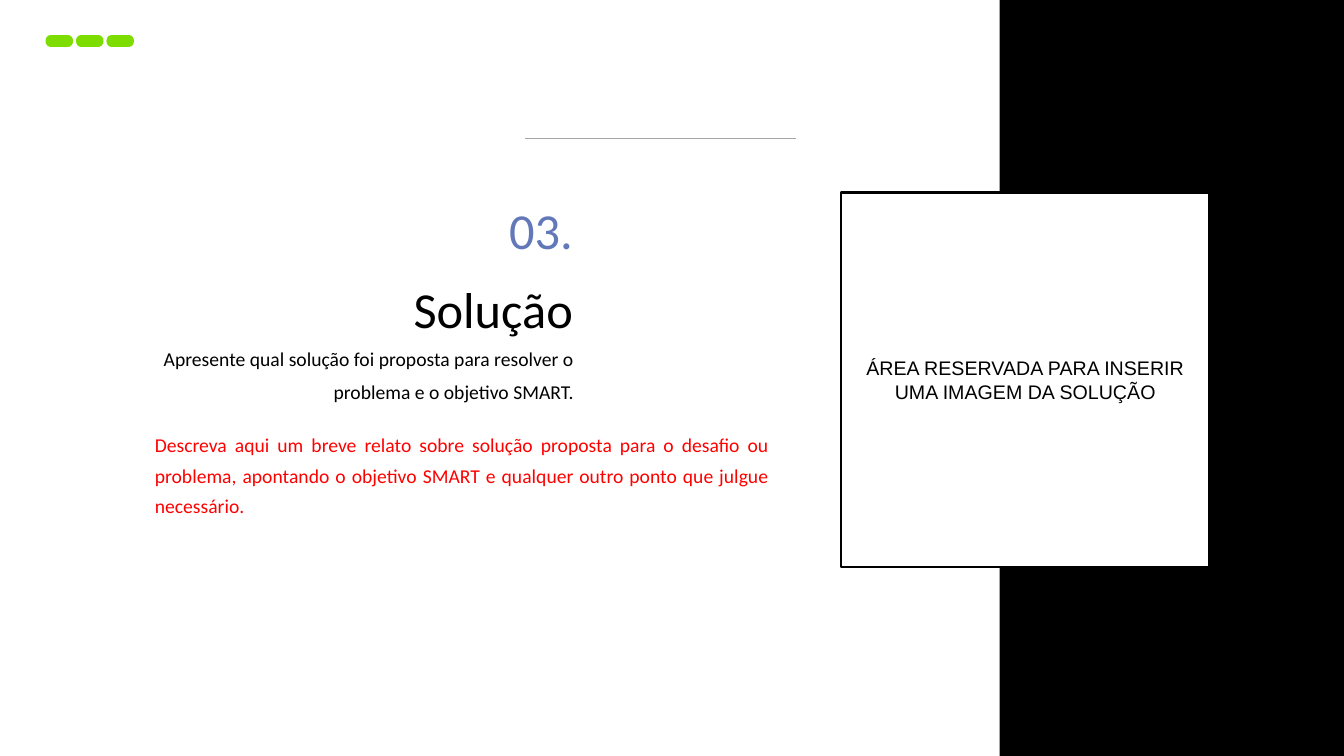
from lxml.etree import SubElement
from pptx import Presentation
from pptx.dml.color import RGBColor
from pptx.enum.shapes import MSO_CONNECTOR, MSO_SHAPE as SHAPE
from pptx.enum.text import MSO_ANCHOR, PP_ALIGN as ALIGN
from pptx.oxml.ns import qn
from pptx.util import Pt

PX = 9525  # EMU per px, 96 px to the inch
BLACK = RGBColor(0x00, 0x00, 0x00)
WHITE = RGBColor(0xFF, 0xFF, 0xFF)
GREEN = RGBColor(0x7D, 0xDD, 0x00)
BLUE = RGBColor(0x63, 0x78, 0xB9)
RED = RGBColor(0xFF, 0x00, 0x00)
GREY = RGBColor(0xA6, 0xA6, 0xA6)


def px(*lengths):
    return [n * PX for n in lengths]


def add_block(s, kind, box, fill, line=None, weight=1):
    sp = s.shapes.add_shape(kind, *px(*box))
    sp.shadow.inherit = False
    sp.fill.solid()
    sp.fill.fore_color.rgb = fill
    if line is None:
        sp.line.fill.background()
    else:
        sp.line.color.rgb = line
        sp.line.width = Pt(weight)
    return sp


def add_rule(s, x1, x2, y):
    cn = s.shapes.add_connector(MSO_CONNECTOR.STRAIGHT, *px(x1, y, x2, y))
    cn.line.color.rgb = GREY
    cn.line.width = Pt(0.75)
    SubElement(cn._element.spPr, qn("a:effectLst"))


def write(tf, lines, size, align, spacing=1.0, font="Calibri"):
    """Fill a text frame with one paragraph per (text, colour) pair."""
    tf.word_wrap = True
    for i, (text, color) in enumerate(lines):
        p = tf.add_paragraph() if i else tf.paragraphs[0]
        p.alignment = align
        p.line_spacing = spacing
        r = p.add_run()
        r.text = text
        r.font.name = font
        r.font.size = Pt(size)
        r.font.color.rgb = color


def add_text(s, box, lines, size, align, spacing):
    tb = s.shapes.add_textbox(*px(*box))
    write(tb.text_frame, lines, size, align, spacing)


def main():
    prs = Presentation()
    prs.slide_width, prs.slide_height = px(1280, 720)
    s = prs.slides.add_slide(prs.slide_layouts[6])
    s.background.fill.solid()
    s.background.fill.fore_color.rgb = WHITE

    add_block(s, SHAPE.RECTANGLE, (952, 0, 328, 720), BLACK)
    add_text(s, (113, 168, 442, 161), [("03.", BLUE), ("Solução", BLACK)],
             36, ALIGN.RIGHT, 1.3)
    add_text(s, (114, 317, 442, 73),
             [("Apresente qual solução foi proposta para resolver o problema "
               "e o objetivo SMART.", BLACK)], 14, ALIGN.RIGHT, 1.4)
    for i in range(3):
        add_block(s, SHAPE.FLOWCHART_TERMINATOR, (44 + 29 * i, 34, 25, 10),
                  GREEN, GREEN)
    add_rule(s, 758, 500, 132)

    image_area = add_block(s, SHAPE.RECTANGLE, (801, 183, 351, 357),
                           WHITE, BLACK, 2)
    tf = image_area.text_frame
    tf.vertical_anchor = MSO_ANCHOR.MIDDLE
    write(tf, [("ÁREA RESERVADA PARA INSERIR UMA IMAGEM DA SOLUÇÃO", BLACK)],
          14, ALIGN.CENTER, font="Arial")

    add_text(s, (138, 401, 604, 98),
             [("Descreva aqui um breve relato sobre solução proposta para o "
               "desafio ou problema, apontando o objetivo SMART e qualquer "
               "outro ponto que julgue necessário.", RED)],
             14, ALIGN.JUSTIFY, 1.3)
    prs.save("out.pptx")


if __name__ == "__main__":
    main()
